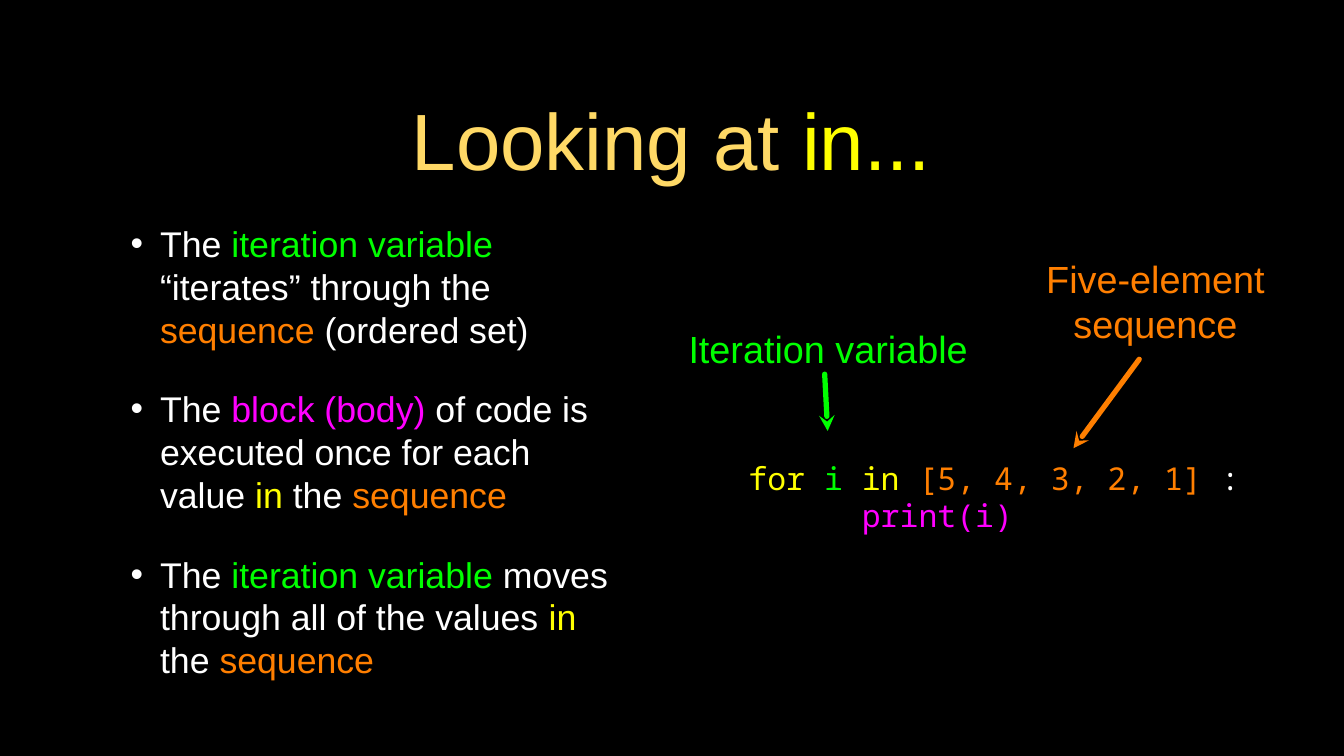
from lxml import etree
from pptx import Presentation
from pptx.dml.color import RGBColor
from pptx.enum.shapes import MSO_CONNECTOR
from pptx.enum.text import MSO_ANCHOR, PP_ALIGN
from pptx.oxml.ns import qn
from pptx.util import Cm, Pt

LEFT, CENTER = PP_ALIGN.LEFT, PP_ALIGN.CENTER
MIDDLE = MSO_ANCHOR.MIDDLE
STRAIGHT = MSO_CONNECTOR.STRAIGHT
SANS, MONO = "Arial", "Noto Sans Mono"
LINE_RATIO = 1.2
COLORS = {
    "black": "000000",
    "white": "FFFFFF",
    "gold": "FFD966",
    "yellow": "FFFF00",
    "green": "00FF00",
    "orange": "FF7F00",
    "magenta": "FF00FF",
}

TITLE = [[("Looking at ", "gold"), ("in...", "yellow")]]
BULLETS = [
    [("The ", "white"), ("iteration variable ", "green"),
     ("“iterates” through the ", "white"), ("sequence ", "orange"),
     ("(ordered set)", "white")],
    [("The ", "white"), ("block (body)", "magenta"),
     (" of code is executed once for each value ", "white"),
     ("in", "yellow"), (" the ", "white"), ("sequence", "orange")],
    [("The ", "white"), ("iteration variable ", "green"),
     ("moves through all of the values ", "white"),
     ("in", "yellow"), (" the ", "white"), ("sequence", "orange")],
]
CODE = [
    [("for ", "yellow"), ("i ", "green"), ("in ", "yellow"),
     ("[5, 4, 3, 2, 1] ", "orange"), (":", "white")],
    [("print(i)", "magenta")],
]


def rgb(name):
    """Return the named colour."""
    return RGBColor.from_string(COLORS[name])


def add_text(slide, box, paragraphs, size, font=SANS, align=CENTER, inset=0):
    """Add a text box of coloured runs and return its text frame."""
    shape = slide.shapes.add_textbox(*(Cm(length) for length in box))
    text_frame = shape.text_frame
    text_frame.word_wrap = True
    text_frame.vertical_anchor = MIDDLE
    text_frame.margin_left = text_frame.margin_right = Cm(inset)
    text_frame.margin_top = text_frame.margin_bottom = Cm(inset)
    for index, pieces in enumerate(paragraphs):
        paragraph = text_frame.add_paragraph() if index else text_frame.paragraphs[0]
        paragraph.alignment = align
        paragraph.line_spacing = Pt(size * LINE_RATIO)
        for text, color in pieces:
            run = paragraph.add_run()
            run.text = text
            run.font.name = font
            run.font.size = Pt(size)
            run.font.color.rgb = rgb(color)
    return text_frame


def indent(paragraph, margin, hanging=0):
    """Set the left margin and hanging indent of a paragraph."""
    properties = paragraph._p.get_or_add_pPr()
    properties.set("marL", str(Cm(margin)))
    properties.set("indent", str(-Cm(hanging)))
    return properties


def add_bullets(slide, box, paragraphs):
    """Add a bulleted list with wide gaps between its items."""
    text_frame = add_text(slide, box, paragraphs, 34, align=LEFT, inset=0.1)
    for index, paragraph in enumerate(text_frame.paragraphs):
        if index:
            paragraph.space_before = Pt(35)
        properties = indent(paragraph, 2.08, 0.99)
        color = etree.SubElement(properties, qn("a:buClr"))
        etree.SubElement(color, qn("a:srgbClr"), val=COLORS["white"])
        etree.SubElement(properties, qn("a:buFont"), typeface=SANS)
        etree.SubElement(properties, qn("a:buChar"), char="•")


def add_code(slide, box, lines):
    """Add the code sample with its body indented by six characters."""
    text_frame = add_text(slide, box, lines, 30, font=MONO, align=LEFT)
    text_frame.margin_top = Cm(0.33)
    indent(text_frame.paragraphs[1], 3.81)


def add_arrow(slide, tip, tail, color):
    """Add a thick line with a stealth head at its tip."""
    arrow = slide.shapes.add_connector(
        STRAIGHT, *(Cm(length) for length in tip + tail))
    arrow.line.color.rgb = rgb(color)
    arrow.line.width = Pt(5)
    line = arrow.line._get_or_add_ln()
    etree.SubElement(line, qn("a:round"))
    etree.SubElement(line, qn("a:headEnd"), type="stealth")
    line.set("cap", "rnd")
    etree.SubElement(arrow._element.spPr, qn("a:effectLst"))


def main():
    """Build the slide and save it."""
    presentation = Presentation()
    presentation.slide_width = Cm(45.16)
    presentation.slide_height = Cm(25.4)
    slide = presentation.slides.add_slide(presentation.slide_layouts[6])
    slide.background.fill.solid()
    slide.background.fill.fore_color.rgb = rgb("black")

    add_text(slide, (3.2, 2.26, 38.71, 4.78), TITLE, 76, inset=0.1)
    add_bullets(slide, (3.2, 7.24, 17.73, 15.85), BULLETS)
    add_code(slide, (25.15, 14.66, 17.68, 3.71), CODE)
    add_text(slide, (23.04, 10.85, 9.58, 1.73),
             [[("Iteration variable", "green")]], 36)
    add_text(slide, (33.3, 8.66, 11.05, 2.9),
             [[("Five-element sequence", "orange")]], 36)
    add_arrow(slide, (27.81, 14.48), (27.71, 12.57), "green")
    add_arrow(slide, (36.07, 15.06), (38.28, 12.07), "orange")
    presentation.save("out.pptx")


main()
